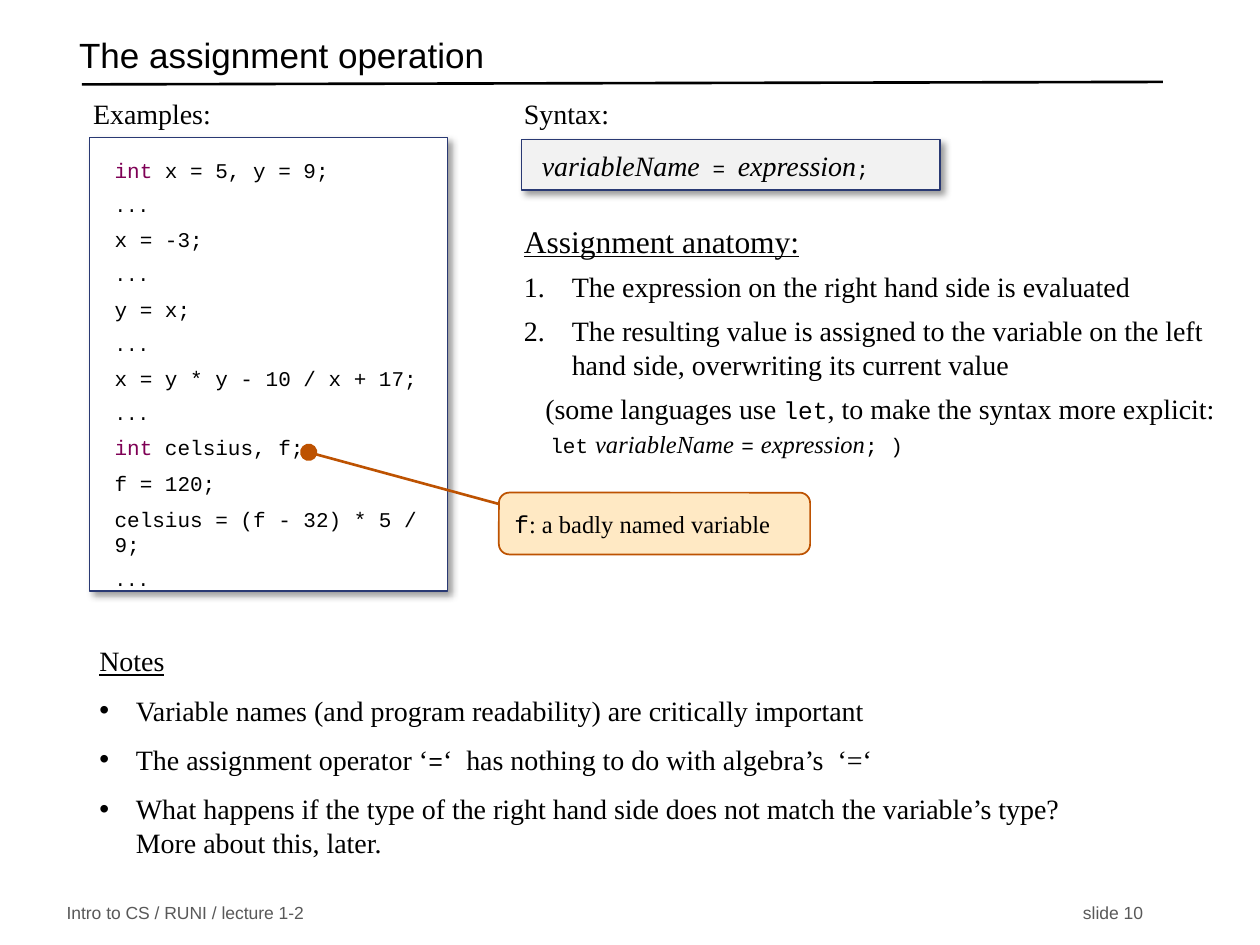
"""Build the slide about the assignment operation."""
import lxml.etree
import pptx
import pptx.dml.color
import pptx.enum.shapes
import pptx.enum.text
import pptx.oxml.ns
import pptx.util

Inches = pptx.util.Inches
Pt = pptx.util.Pt
Shapes = pptx.enum.shapes.MSO_SHAPE
Anchor = pptx.enum.text.MSO_ANCHOR
Align = pptx.enum.text.PP_ALIGN

COLORS = {
    "black": "000000", "white": "FFFFFF", "gray": "595959", "keyword": "7F0055",
    "navy": "293973", "panel": "F2F2F2", "cream": "FFE9C4", "orange": "BD5201",
}
SANS, SERIF, MONO = "Arial", "Times New Roman", "Courier New"
STYLES = {
    "title": (SANS, 20, "black", ""),
    "footer": (SANS, 10, "gray", ""),
    "body": (SERIF, 16, "black", ""),
    "small": (SERIF, 14, "black", ""),
    "heading": (SERIF, 18, "black", "u"),
    "notes heading": (SERIF, 16, "black", "u"),
    "variable": (SERIF, 16, "black", "i"),
    "small variable": (SERIF, 14, "black", "i"),
    "code": (MONO, 12, "black", ""),
    "dots": (MONO, 11, "black", ""),
    "keyword": (MONO, 12, "keyword", ""),
    "inline code": (MONO, 14, "black", ""),
}

TITLE = [([("The assignment operation", "title")], {"line": 0.7})]
FOOTER_LEFT = [([("Intro to CS / RUNI / lecture 1-2", "footer")], {})]
FOOTER_RIGHT = [([("slide 10", "footer")], {"align": Align.RIGHT})]
EXAMPLES_LABEL = [([("Examples:", "body")], {})]
SYNTAX_LABEL = [([("Syntax:", "body")], {})]
DOTS = [("...", "dots")]
CODE_LINES = [
    [("int", "keyword"), (" x = 5, y = 9;", "code")],
    DOTS,
    [("x = -3;", "code")],
    DOTS,
    [("y = x;", "code")],
    DOTS,
    [("x = y * y - 10 / x + 17;", "code")],
    DOTS,
    [("int", "keyword"), (" celsius, f;", "code")],
    [("f = 120;", "code")],
    [("celsius = (f - 32) * 5 / 9;", "code")],
    DOTS,
]
CODE = [(runs, {"before": 6}) for runs in CODE_LINES]
SYNTAX = [([("variableName", "variable"), (" = ", "code"),
            ("expression", "variable"), (";", "code")], {})]
NUMBERED = {"before": 6, "hanging": 0.38, "bullet": "number"}
ANATOMY = [
    ([("Assignment anatomy:", "heading")], {}),
    ([("The expression on the right hand side is evaluated", "body")], NUMBERED),
    ([("The resulting value is assigned to the variable on the left hand side, "
       "overwriting its current value", "body")], NUMBERED),
    ([("(some languages use ", "body"), ("let", "inline code"),
      (", to make the syntax more explicit:", "body")], {"before": 6, "left": 0.17}),
    ([("let", "code"), (" ", "body"), ("variableName", "small variable"), (" ", "body"),
      ("=", "code"), (" ", "body"), ("expression", "small variable"), ("; )", "code")],
     {"left": 0.21}),
]
CALLOUT = [([("f", "inline code"), (": a badly named variable", "small")], {})]
BULLETED = {"before": 9, "hanging": 0.29, "bullet": "dot"}
NOTES = [
    ([("Notes", "notes heading")], {}),
    ([("Variable names (and program readability) are critically important", "body")], BULLETED),
    ([("The assignment operator ‘", "body"), ("=", "inline code"),
      ("‘  has nothing to do with algebra’s  ‘=‘", "body")], BULLETED),
    ([("What happens if the type of the right hand side does not match the variable’s type?\n"
       "More about this, later.", "body")], BULLETED),
]


def color(name):
    return pptx.dml.color.RGBColor.from_string(COLORS[name])


def add_element(parent, tag, **attributes):
    return lxml.etree.SubElement(parent, pptx.oxml.ns.qn(tag), attributes)


def set_font(font, style):
    name, size, color_name, marks = STYLES[style]
    font.name, font.size = name, Pt(size)
    font.color.rgb = color(color_name)
    if "i" in marks:
        font.italic = True
    if "u" in marks:
        font.underline = True


def add_bullet(paragraph, kind, hanging):
    properties = paragraph._p.get_or_add_pPr()
    properties.set("marL", str(Inches(hanging)))
    properties.set("indent", str(-Inches(hanging)))
    if kind == "number":
        add_element(properties, "a:buFont", typeface=SERIF)
        add_element(properties, "a:buAutoNum", type="arabicPeriod")
    else:
        add_element(properties, "a:buFont", typeface=SANS)
        add_element(properties, "a:buChar", char="•")


def write(shape, paragraphs, insets=(0.1, 0.05, 0.1, 0.05), anchor=Anchor.TOP):
    frame = shape.text_frame
    frame.word_wrap = True
    frame.vertical_anchor = anchor
    frame.margin_left, frame.margin_top, frame.margin_right, frame.margin_bottom = map(Inches, insets)
    for index, (runs, layout) in enumerate(paragraphs):
        paragraph = frame.add_paragraph() if index else frame.paragraphs[0]
        paragraph.alignment = layout.get("align", Align.LEFT)
        paragraph.line_spacing = layout.get("line")
        paragraph.space_before = Pt(layout.get("before", 0) if index else 0)
        if "left" in layout:
            paragraph._p.get_or_add_pPr().set("marL", str(Inches(layout["left"])))
        if "bullet" in layout:
            add_bullet(paragraph, layout["bullet"], layout["hanging"])
        uniform = len({style for _, style in runs}) == 1
        if uniform:
            set_font(paragraph.font, runs[0][1])
        for text, style in runs:
            for line_index, line in enumerate(text.split("\n")):
                if line_index:
                    paragraph.add_line_break()
                run = paragraph.add_run()
                run.text = line
                if not uniform:
                    set_font(run.font, style)


def add_text(slide, place, paragraphs, anchor=Anchor.TOP):
    write(slide.shapes.add_textbox(*map(Inches, place)), paragraphs, anchor=anchor)


def add_panel(slide, kind, place, fill, outline, width):
    shape = slide.shapes.add_shape(kind, *map(Inches, place))
    shape.shadow.inherit = False
    shape.fill.solid()
    shape.fill.fore_color.rgb = color(fill)
    shape.line.color.rgb = color(outline)
    shape.line.width = Pt(width)
    return shape


def cast_shadow(shape):
    effects = shape._element.spPr.find(pptx.oxml.ns.qn("a:effectLst"))
    shadow = add_element(effects, "a:outerShdw", blurRad=str(Pt(4)), dist=str(Pt(3)),
                         dir="2700000", algn="tl", rotWithShape="0")
    tint = add_element(shadow, "a:srgbClr", val=COLORS["black"])
    add_element(tint, "a:alpha", val="40000")


def add_line(slide, start, end, color_name):
    line = slide.shapes.add_connector(pptx.enum.shapes.MSO_CONNECTOR.STRAIGHT,
                                      *map(Inches, start + end))
    line.line.color.rgb = color(color_name)
    line.line.width = Pt(1.5)
    add_element(line._element.spPr, "a:effectLst")
    return line


def main():
    presentation = pptx.Presentation()
    presentation.slide_width, presentation.slide_height = Inches(10), Inches(7.5)
    slide = presentation.slides.add_slide(presentation.slide_layouts[6])

    add_line(slide, (0.65, 0.67), (9.23, 0.65), "black")
    add_text(slide, (0.43, 7.14, 4, 0.21), FOOTER_LEFT, Anchor.MIDDLE)
    add_text(slide, (7.17, 7.14, 2, 0.21), FOOTER_RIGHT, Anchor.MIDDLE)
    add_text(slide, (0.53, 0.22, 8.6, 0.5), TITLE, Anchor.MIDDLE)

    code_box = add_panel(slide, Shapes.RECTANGLE, (0.71, 1.09, 2.84, 3.6), "white", "navy", 0.75)
    cast_shadow(code_box)
    write(code_box, CODE, (0.2, 0.16, 0.1, 0.12))
    add_text(slide, (0.64, 0.72, 3.82, 0.49), EXAMPLES_LABEL)

    callout = add_panel(slide, Shapes.ROUNDED_RECTANGLE, (3.96, 3.91, 2.47, 0.49), "cream", "orange", 1)
    write(callout, CALLOUT, (0.1, 0.05, 0, 0.05), Anchor.MIDDLE)
    pointer = add_line(slide, (3.96, 4), (2.45, 3.59), "orange")
    add_element(pointer.line._get_or_add_ln(), "a:tailEnd", type="oval", w="lg", len="lg")
    add_text(slide, (0.69, 5.06, 8.42, 2.26), NOTES)

    syntax_box = add_panel(slide, Shapes.RECTANGLE, (4.14, 1.11, 3.32, 0.4), "panel", "navy", 0.75)
    cast_shadow(syntax_box)
    write(syntax_box, SYNTAX, (0.16, 0, 0, 0), Anchor.MIDDLE)
    add_text(slide, (4.06, 0.72, 1.13, 0.42), SYNTAX_LABEL)
    add_text(slide, (4.06, 1.71, 5.76, 2.13), ANATOMY)
    presentation.save("out.pptx")


if __name__ == "__main__":
    main()
